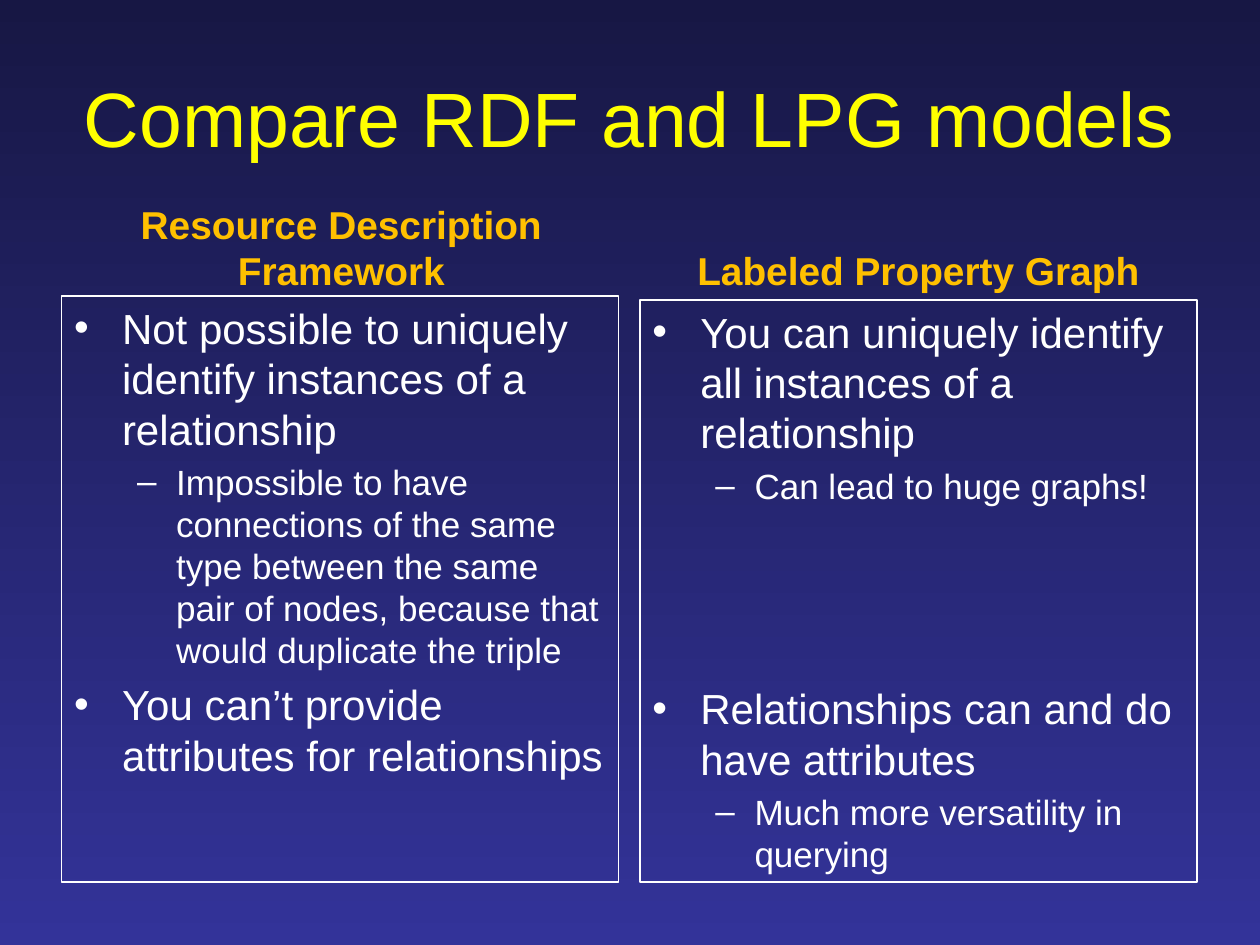
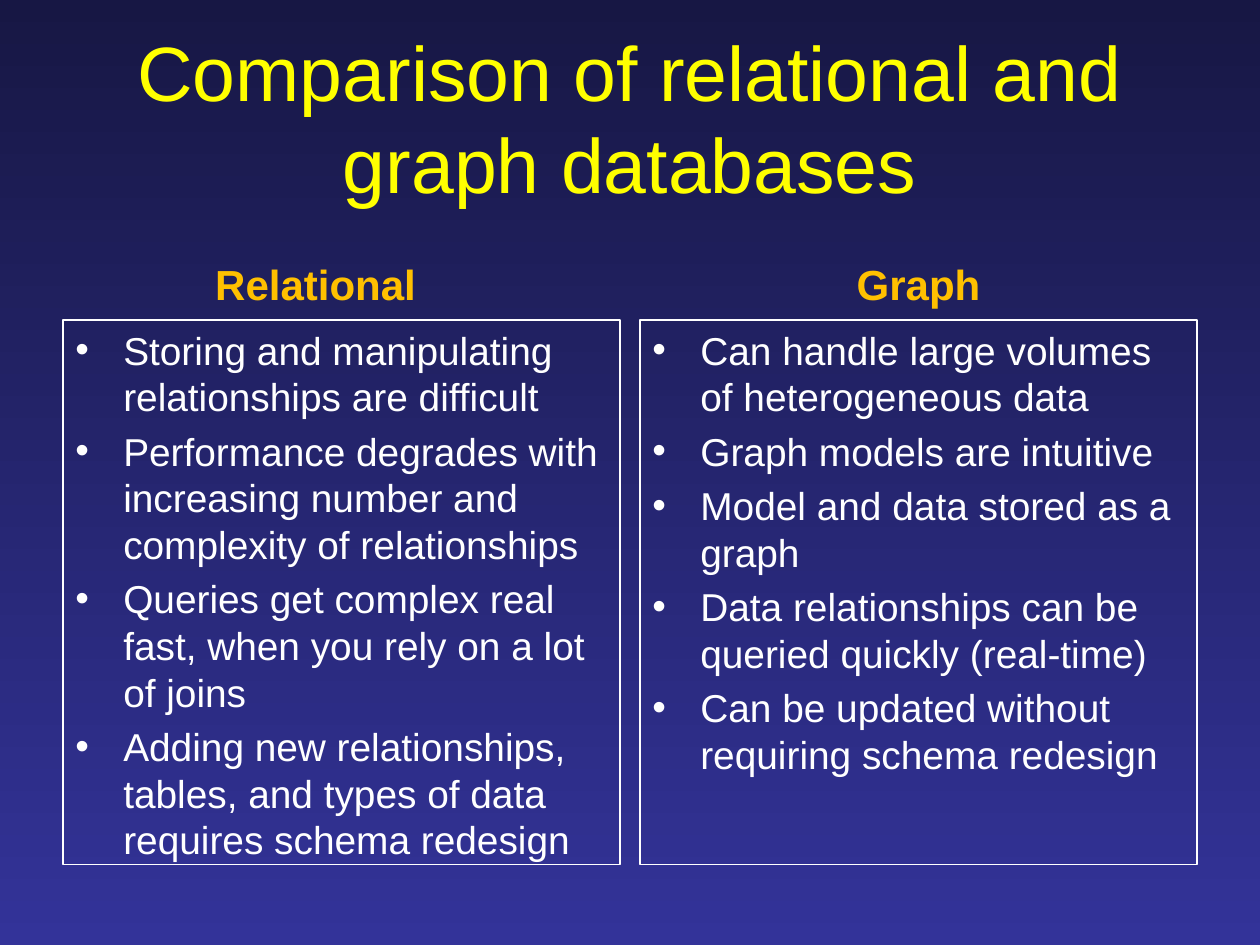
from lxml import etree
from pptx import Presentation
from pptx import util as u
from pptx.dml.color import RGBColor
from pptx.enum import shapes, text
from pptx.oxml import ns

# Shared style: 100 px to the inch
EMU_PER_PX = 9144
FONT = "Arial"
NIGHT = RGBColor(0x17, 0x17, 0x44)
INDIGO = RGBColor(0x33, 0x33, 0x99)
YELLOW = RGBColor(0xFF, 0xFF, 0x00)
GOLD = RGBColor(0xFF, 0xC0, 0x00)
WHITE = RGBColor(0xFF, 0xFF, 0xFF)

LEFT_COLUMN, RIGHT_COLUMN = 50, 508
COLUMN_WIDTH = 442
HEADING_HEIGHT = 70
# Bullet mark, text indent and hanging indent for each level
LEVELS = [("•", 38, 38), ("–", 81, 31)]


def px(length):
    return u.Emu(length * EMU_PER_PX)


def write(frame, content, size, color=WHITE, bold=False,
          align=text.PP_ALIGN.LEFT, level=None, gap=0):
    """Add one paragraph; level gives it a bullet, gap adds points above it."""
    first = not frame.text
    paragraph = frame.paragraphs[0] if first else frame.add_paragraph()
    paragraph.alignment = align
    if level is not None:
        mark, indent, hanging = LEVELS[level]
        paragraph.level = level
        properties = paragraph._p.get_or_add_pPr()
        properties.set("marL", str(px(indent)))
        properties.set("indent", str(-px(hanging)))
        etree.SubElement(properties, ns.qn("a:buFont"), typeface=FONT)
        etree.SubElement(properties, ns.qn("a:buChar"), char=mark)
    if not first:
        paragraph.space_before = u.Pt(0.2 * size + gap)
    run = paragraph.add_run()
    run.text = content
    run.font.name = FONT
    run.font.size = u.Pt(size)
    run.font.bold = bold
    run.font.color.rgb = color


class Deck:
    def __init__(self):
        self.presentation = Presentation()
        self.presentation.slide_width = px(1000)
        self.presentation.slide_height = px(750)
        self.slide = None

    def add_slide(self, title):
        blank = self.presentation.slide_layouts[6]
        self.slide = self.presentation.slides.add_slide(blank)
        fill = self.slide.background.fill
        fill.gradient()
        fill.gradient_angle = 270
        for stop, color in zip(fill.gradient_stops, (NIGHT, INDIGO)):
            stop.color.rgb = color
        self.label(title, 50, 30, 900, 125, text.MSO_ANCHOR.MIDDLE,
                   size=44, color=YELLOW)

    def label(self, content, left, top, width, height, anchor,
              right_inset=10, **style):
        shape = self.slide.shapes.add_textbox(
            px(left), px(top), px(width), px(height))
        frame = shape.text_frame
        frame.word_wrap = True
        frame.vertical_anchor = anchor
        frame.margin_right = px(right_inset)
        write(frame, content, align=text.PP_ALIGN.CENTER, **style)

    def heading(self, content, left, top, size, right_inset=10):
        self.label(content, left, top, COLUMN_WIDTH, HEADING_HEIGHT,
                   text.MSO_ANCHOR.BOTTOM, right_inset,
                   size=size, color=GOLD, bold=True)

    def bullet_box(self, bullets, left, top, bottom, sizes):
        """Each bullet is (level, content) or (level, content, gap)."""
        shape = self.slide.shapes.add_shape(
            shapes.MSO_SHAPE.RECTANGLE,
            px(left), px(top), px(COLUMN_WIDTH), px(bottom - top))
        shape.shadow.inherit = False
        shape.fill.background()
        shape.line.color.rgb = WHITE
        shape.line.width = u.Pt(0.75)
        frame = shape.text_frame
        frame.word_wrap = True
        frame.vertical_anchor = text.MSO_ANCHOR.TOP
        for level, content, *gap in bullets:
            write(frame, content, sizes[level], level=level, gap=sum(gap))


def add_model_slide(deck):
    deck.add_slide("Compare RDF and LPG models")
    sizes = (24, 20)

    # Resource Description Framework
    deck.heading("Resource Description Framework", LEFT_COLUMN, 168, 22.2)
    deck.bullet_box([
        (0, "Not possible to uniquely identify instances of a relationship"),
        (1, "Impossible to have connections of the same type between the same "
            "pair of nodes, because that would duplicate the triple"),
        (0, "You can’t provide attributes for relationships"),
    ], LEFT_COLUMN - 1, 235, 700, sizes)

    # Labeled Property Graph, with the second topic level with its counterpart
    deck.heading("Labeled Property Graph", RIGHT_COLUMN, 168, 22.2)
    deck.bullet_box([
        (0, "You can uniquely identify all instances of a relationship"),
        (1, "Can lead to huge graphs!"),
        (0, "Relationships can and do have attributes", 96),
        (1, "Much more versatility in querying"),
    ], RIGHT_COLUMN, 238, 700, sizes)


def add_database_slide(deck):
    deck.add_slide("Comparison of relational and graph databases")
    columns = [
        (LEFT_COLUMN, "Relational", 51, [
            "Storing and manipulating relationships are difficult",
            "Performance degrades with increasing number and complexity "
            "of relationships",
            "Queries get complex real fast, when you rely on a lot of joins",
            "Adding new relationships, tables, and types of data requires "
            "schema redesign",
        ]),
        (RIGHT_COLUMN, "Graph", 10, [
            "Can handle large volumes of heterogeneous data",
            "Graph models are intuitive",
            "Model and data stored as a graph",
            "Data relationships can be queried quickly (real-time)",
            "Can be updated without requiring schema redesign",
        ]),
    ]
    for left, name, right_inset, points in columns:
        deck.heading(name, left, 180, 24, right_inset)
        deck.bullet_box([(0, point) for point in points],
                        left, 254, 686, (22.2,))


def main():
    deck = Deck()
    add_model_slide(deck)
    add_database_slide(deck)
    deck.presentation.save("out.pptx")


if __name__ == "__main__":
    main()
